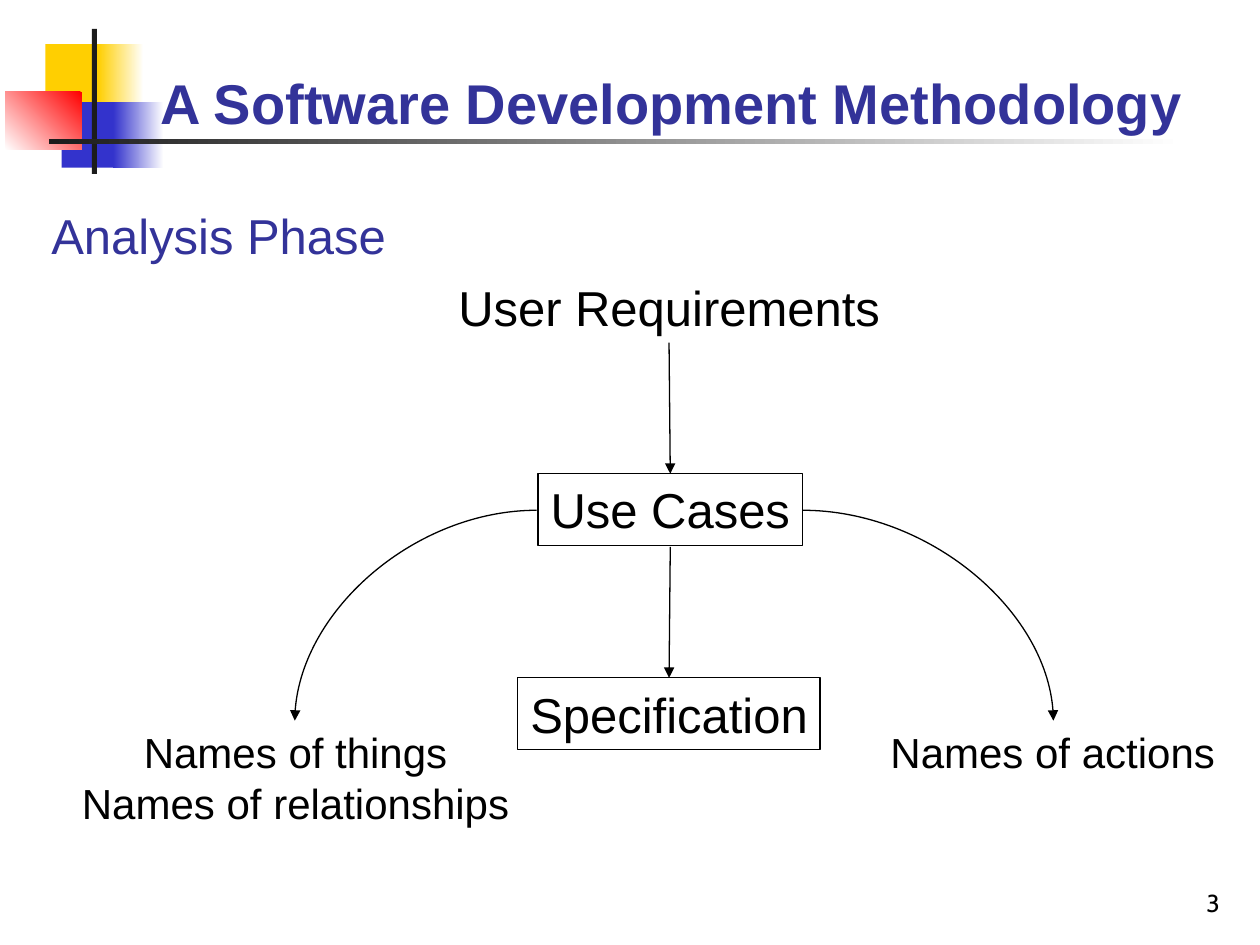
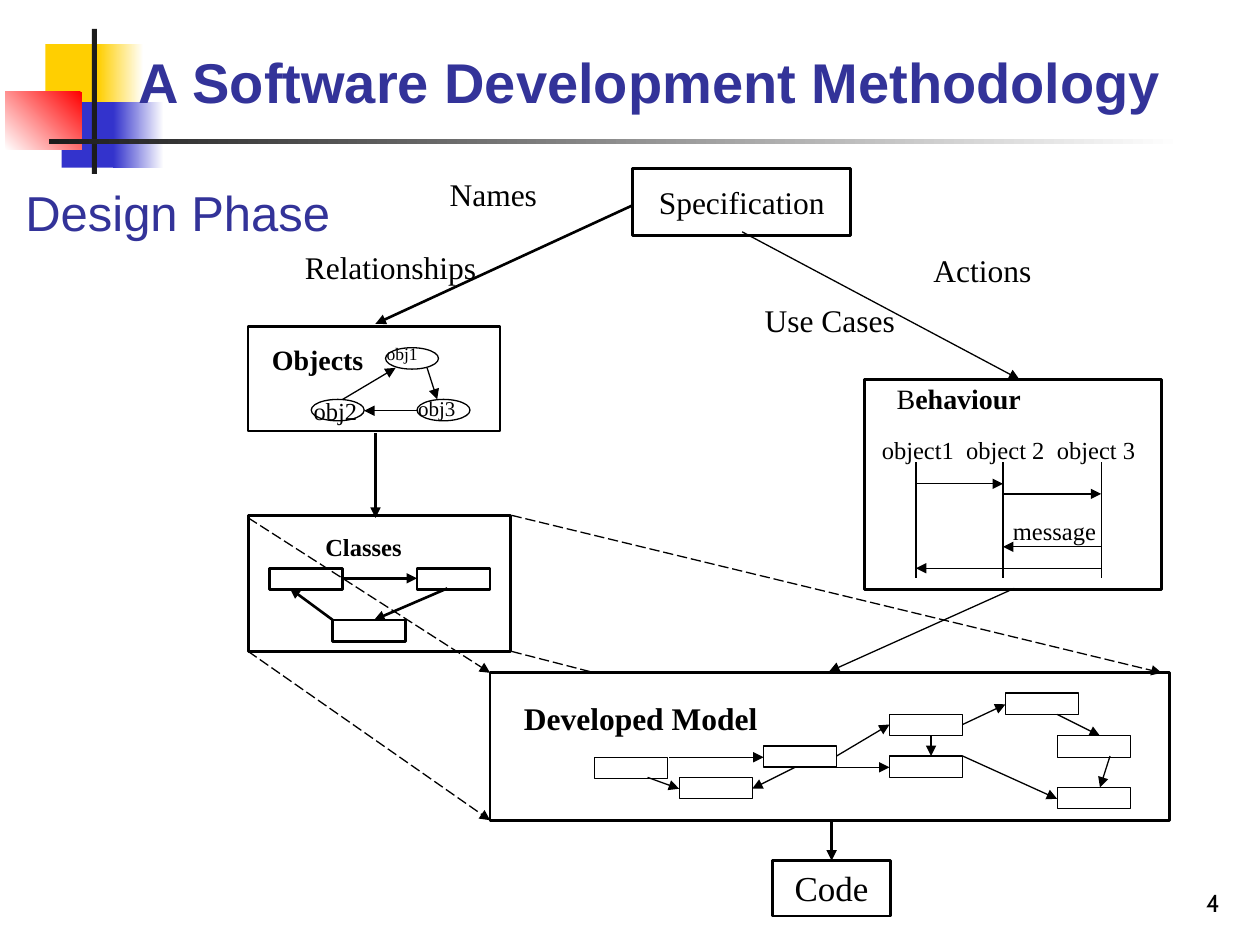
from dataclasses import dataclass
from typing import Optional

from lxml import etree
from pptx import Presentation
from pptx.dml.color import RGBColor
from pptx.enum.dml import MSO_LINE
from pptx.enum.shapes import MSO_CONNECTOR as Wire, MSO_SHAPE as Preset
from pptx.enum.text import MSO_ANCHOR as Anchor, MSO_AUTO_SIZE as AutoSize, PP_ALIGN as Align
from pptx.oxml.ns import qn
from pptx.util import Inches, Pt

BLACK = RGBColor(0x00, 0x00, 0x00)
WHITE = RGBColor(0xFF, 0xFF, 0xFF)
INDIGO = RGBColor(0x33, 0x33, 0x99)
YELLOW = RGBColor(0xFF, 0xCF, 0x01)
BLUE = RGBColor(0x33, 0x33, 0xCC)
RED = RGBColor(0xFF, 0x00, 0x00)
CHARCOAL = RGBColor(0x1C, 0x1C, 0x1C)

SANS, SERIF, NUMBER_FONT = "Arial", "Times New Roman", "Cabin"
THIN, THICK = 0.75, 1.5
FIRST_NUMBER = 3
TITLE = "A Software Development Methodology"

Area = tuple[float, float, float, float]


@dataclass(frozen=True)
class Band:
    area: Area
    start: RGBColor
    end: Optional[RGBColor] = None
    angle: float = 180


@dataclass(frozen=True)
class Box:
    area: Area
    weight: float = THIN
    preset: Preset = Preset.RECTANGLE


@dataclass(frozen=True)
class Label:
    """Text in an area; lead is a regular-weight start before bold text."""
    text: str
    area: Area
    size: float
    font: str = SERIF
    color: RGBColor = BLACK
    bold: bool = False
    align: Align = Align.LEFT
    wrap: bool = True
    lead: str = ""
    tabs: tuple[float, ...] = ()


@dataclass(frozen=True)
class Link:
    start: tuple[float, float]
    end: tuple[float, float]
    weight: float = THIN
    arrow: bool = True
    dashed: bool = False
    curved: bool = False


BANDS = [
    Band((0.36, 0.35, 0.48, 0.52), YELLOW),
    Band((0.78, 0.35, 0.36, 0.52), WHITE, YELLOW),
    Band((0.49, 0.81, 0.46, 0.52), BLUE),
    Band((0.9, 0.81, 0.4, 0.52), WHITE, BLUE),
    Band((0.04, 0.73, 0.61, 0.46), RED, WHITE, 225),
    Band((0.73, 0.23, 0.04, 1.15), CHARCOAL),
    Band((0.39, 1.1, 9, 0.04), WHITE, CHARCOAL),
]


def set_values(target, values: dict) -> None:
    for name, value in values.items():
        setattr(target, name, value)


def inches(values) -> list:
    return [Inches(value) for value in values]


def write(frame, label: Label) -> None:
    set_values(frame, {"word_wrap": label.wrap, "auto_size": AutoSize.NONE})
    para = frame.paragraphs[0]
    para.alignment = label.align
    if label.tabs:
        stops = etree.SubElement(para._p.get_or_add_pPr(), qn("a:tabLst"))
        for stop in label.tabs:
            etree.SubElement(stops, qn("a:tab"), pos=str(Inches(stop)), algn="l")
    for text, bold in ((label.lead, False), (label.text, label.bold)):
        for index, line in enumerate(text.split("\n") if text else []):
            if index:
                para.add_line_break()
            span = para.add_run()
            span.text = line
            set_values(span.font, {"name": label.font, "size": Pt(label.size), "bold": bold})
            span.font.color.rgb = label.color


def add_label(page, label: Label):
    box = page.shapes.add_textbox(*inches(label.area))
    write(box.text_frame, label)
    return box


def add_band(page, band: Band) -> None:
    shape = page.shapes.add_shape(Preset.RECTANGLE, *inches(band.area))
    shape.shadow.inherit = False
    shape.line.fill.background()
    if band.end is None:
        shape.fill.solid()
        shape.fill.fore_color.rgb = band.start
        return
    shape.fill.gradient()
    shape.fill.gradient_angle = band.angle
    for stop, color in zip(shape.fill.gradient_stops, (band.start, band.end)):
        stop.color.rgb = color


def add_box(page, box: Box):
    shape = page.shapes.add_shape(box.preset, *inches(box.area))
    shape.shadow.inherit = False
    shape.fill.background()
    shape.line.color.rgb = BLACK
    shape.line.width = Pt(box.weight)
    return shape


def add_link(page, link: Link) -> None:
    kind = Wire.CURVE if link.curved else Wire.STRAIGHT
    wire = page.shapes.add_connector(kind, *inches(link.start + link.end))
    properties = wire._element.spPr
    if link.curved:
        properties.find(qn("a:prstGeom")).set("prst", "curvedConnector2")
    wire.line.color.rgb = BLACK
    wire.line.width = Pt(link.weight)
    if link.dashed:
        wire.line.dash_style = MSO_LINE.LONG_DASH
    if link.arrow:
        etree.SubElement(wire.line._get_or_add_ln(), qn("a:tailEnd"), type="triangle")
    etree.SubElement(properties, qn("a:effectLst"))


def add_page_number(page, number: int) -> None:
    box = add_label(page, Label(str(number), (7.7, 6.83, 2.08, 0.5), 14, NUMBER_FONT,
                                align=Align.RIGHT))
    box.text_frame.vertical_anchor = Anchor.BOTTOM
    span = box.text_frame.paragraphs[0].runs[0]._r
    field = etree.Element(qn("a:fld"), id="{B6F15528-21DE-4FAA-801E-634DDDAF4B2B}",
                          type="slidenum")
    span.addprevious(field)
    field.extend(list(span))
    span.getparent().remove(span)


def add_page(deck, title_area: Area, phase: str, phase_area: Area):
    page = deck.slides.add_slide(deck.slide_layouts[5])
    for band in BANDS:
        add_band(page, band)
    title = page.shapes.title
    page.shapes._spTree.append(title._element)
    set_values(title, dict(zip(("left", "top", "width", "height"), inches(title_area))))
    write(title.text_frame, Label(TITLE, title_area, 32, SANS, INDIGO, bold=True))
    title.text_frame.vertical_anchor = Anchor.BOTTOM
    add_label(page, Label(phase, phase_area, 28, SANS, INDIGO, align=Align.CENTER, wrap=False))
    add_page_number(page, FIRST_NUMBER + len(deck.slides) - 1)
    return page


def draw(page, boxes: list[Box], links: list[Link], labels: list[Label]) -> None:
    for items, add in ((boxes, add_box), (links, add_link), (labels, add_label)):
        for item in items:
            add(page, item)


def build_analysis(deck) -> None:
    page = add_page(deck, (1.17, 0.41, 8.58, 0.72), "Analysis Phase", (0.31, 1.58, 2.85, 0.57))
    use_cases, specification = (4.27, 3.76, 2.1, 0.57), (4.11, 5.38, 2.4, 0.57)
    texts = [
        ("User Requirements", (3.54, 2.15, 3.54, 0.57), 28),
        ("Use Cases", use_cases, 28),
        ("Specification", specification, 28),
        ("Names of things\nNames of relationships", (0.55, 5.72, 3.59, 0.9), 24),
        ("Names of actions", (6.97, 5.72, 2.77, 0.5), 24),
    ]
    links = [
        Link((5.31, 2.72), (5.32, 3.76)),
        Link((5.32, 4.34), (5.31, 5.38)),
        Link((4.26, 4.05), (2.34, 5.72), curved=True),
        Link((6.37, 4.05), (8.36, 5.72), curved=True),
    ]
    labels = [Label(*text, SANS, align=Align.CENTER, wrap=False) for text in texts]
    draw(page, [Box(use_cases), Box(specification)], links, labels)


def draw_objects(page) -> None:
    ellipses = [Box((x, y, 0.42, 0.17), THIN, Preset.OVAL)
                for x, y in ((3.06, 2.76), (3.31, 3.17), (2.47, 3.17))]
    links = [
        Link((5.02, 1.63), (2.98, 2.57), THICK),
        Link((2.72, 3.17), (3.14, 2.92)),
        Link((3.39, 2.92), (3.47, 3.17)),
        Link((3.31, 3.26), (2.89, 3.26)),
    ]
    labels = [
        Label("Objects", (2.06, 2.67, 1.33, 0.37), 16, bold=True),
        Label("obj1", (2.97, 2.67, 0.75, 0.27), 10),
        Label("obj2", (2.39, 3.09, 0.58, 0.34), 14),
        Label("obj3", (3.22, 3.09, 0.75, 0.3), 12),
        Label("Relationships", (2.06, 1.92, 2.08, 0.4), 18, align=Align.CENTER),
        Label("Names", (3.47, 1.34, 1.42, 0.4), 18),
    ]
    draw(page, [Box((1.97, 2.59, 2, 0.83), THICK), *ellipses], links, labels)


def class_boxes(corners: list[tuple[float, float]], weight: float) -> list[Box]:
    return [Box((x, y, 0.58, 0.17), weight) for x, y in corners]


def draw_classes(page) -> None:
    boxes = class_boxes([(3.31, 4.51), (2.14, 4.51), (2.64, 4.92)], THICK)
    links = [
        Link((2.72, 4.59), (3.31, 4.59), THICK),
        Link((3.55, 4.67), (2.97, 4.92), THICK),
        Link((2.64, 4.92), (2.3, 4.67), THICK),
        Link((2.98, 3.44), (2.98, 4.11), THICK),
    ]
    name = Label("Classes", (2.22, 4.17, 1.33, 0.34), 14, bold=True, align=Align.CENTER)
    draw(page, [Box((1.97, 4.09, 2.08, 1.08), THICK), *boxes], links, [name])


def draw_behaviour(page) -> None:
    first, second, third = lifelines = (7.27, 7.96, 8.74)
    messages = [(first, second, 3.84), (second, third, 3.92),
                (third, second, 4.34), (third, first, 4.51)]
    links = [Link((x, 3.67), (x, 4.59), arrow=False) for x in lifelines]
    links += [Link((sender, y), (receiver, y)) for sender, receiver, y in messages]
    links += [Link((5.89, 1.84), (8.09, 3.01)), Link((8.05, 4.67), (6.58, 5.33))]
    labels = [
        Label("ehaviour", (7.01, 2.98, 1.2, 0.37), 16, bold=True, align=Align.CENTER, lead="B"),
        Label("object1\tobject 2\tobject 3", (6.9, 3.4, 2.3, 0.34), 14, tabs=(0.67, 1.39)),
        Label("message", (7.94, 4.05, 1.03, 0.34), 14),
        Label("Use Cases", (5.97, 2.34, 1.5, 0.4), 18),
        Label("Actions", (7.31, 1.94, 1.5, 0.4), 18),
    ]
    draw(page, [Box((6.86, 3.01, 2.36, 1.67), THICK)], links, labels)


def draw_model(page) -> None:
    boxes = class_boxes([(6.06, 5.92), (4.72, 6.01), (5.39, 6.17), (7.06, 5.67),
                         (8.39, 5.84), (7.06, 6), (7.98, 5.5), (8.39, 6.25)], THIN)
    boxes[0] = Box(boxes[0].area, 1)
    links = [
        Link((1.97, 4.11), (3.89, 5.34), dashed=True),
        Link((1.97, 5.17), (3.89, 6.51), dashed=True),
        Link((4.06, 5.17), (4.72, 5.34), arrow=False, dashed=True),
        Link((4.06, 4.09), (9.22, 5.34), dashed=True),
        Link((5.31, 6.01), (6.06, 6.01)),
        Link((5.14, 6.17), (5.39, 6.26)),
        Link((6.31, 6.09), (5.97, 6.26)),
        Link((6.64, 6), (7.06, 5.75)),
        Link((7.64, 5.75), (7.98, 5.59)),
        Link((8.39, 5.67), (8.73, 5.84)),
        Link((8.81, 6), (8.73, 6.25)),
        Link((7.64, 6), (8.39, 6.34)),
        Link((6.48, 6.09), (7.06, 6.09)),
        Link((7.39, 5.84), (7.39, 6)),
    ]
    name = Label("Developed Model", (4.06, 5.5, 3.08, 0.4), 18, bold=True)
    draw(page, [Box((3.89, 5.34, 5.39, 1.17), THICK), *boxes], links, [name])


def build_design(deck) -> None:
    page = add_page(deck, (1, 0.04, 8.75, 0.92), "Design Phase", (0.1, 1.4, 2.62, 0.57))
    specification = Label("Specification", (5.13, 1.4, 1.52, 0.4), 18, wrap=False)
    code = Label("Code", (6.13, 6.83, 0.94, 0.44), 20, align=Align.CENTER)
    draw(page, [Box((5.02, 1.34, 1.73, 0.53), THICK), Box(code.area, THICK)],
         [Link((6.6, 6.51), (6.6, 6.83), THICK)], [specification, code])
    for draw_part in (draw_objects, draw_classes, draw_behaviour, draw_model):
        draw_part(page)


def main() -> None:
    deck = Presentation()
    set_values(deck, {"slide_width": Inches(10), "slide_height": Inches(7.5)})
    deck.element.set("firstSlideNum", str(FIRST_NUMBER))
    build_analysis(deck)
    build_design(deck)
    deck.save("out.pptx")


if __name__ == "__main__":
    main()
